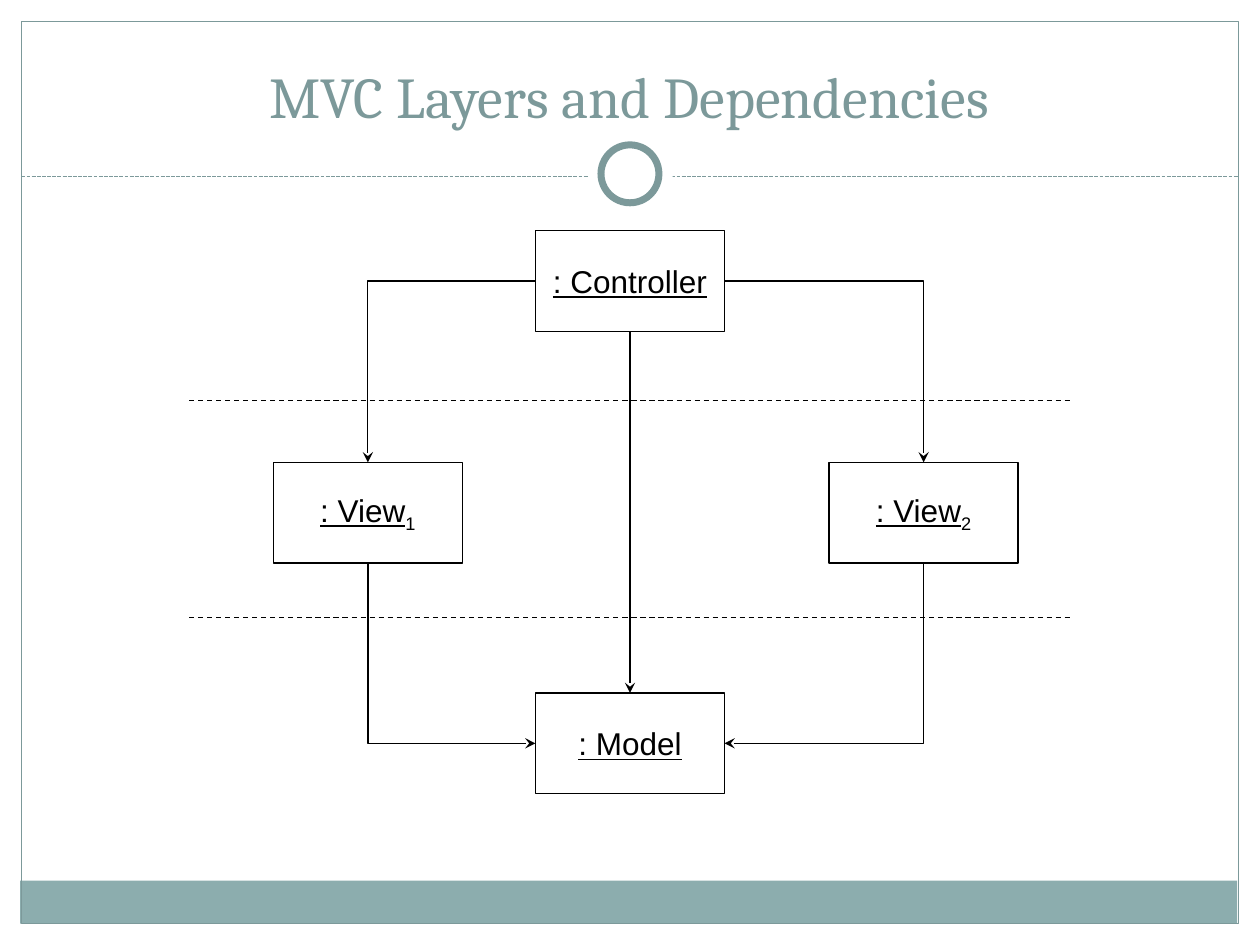
from pptx import Presentation
from pptx.dml.color import RGBColor
from pptx.enum.dml import MSO_LINE
from pptx.enum.shapes import MSO_CONNECTOR, MSO_SHAPE
from pptx.enum.text import MSO_ANCHOR, PP_ALIGN
from pptx.oxml.ns import qn
from pptx.util import Inches, Pt
from lxml import etree

RECT, OVAL = MSO_SHAPE.RECTANGLE, MSO_SHAPE.OVAL
LINE, ELBOW = MSO_CONNECTOR.STRAIGHT, MSO_CONNECTOR.ELBOW
DASH, DOTS = MSO_LINE.DASH, MSO_LINE.SQUARE_DOT
MIDDLE, BOTTOM = MSO_ANCHOR.MIDDLE, MSO_ANCHOR.BOTTOM
CENTER = PP_ALIGN.CENTER
WHITE, BLACK, TEAL, BAND = "FFFFFF", "000000", "7C999A", "8CADAE"
BOX_W, BOX_H = 1.5, 0.8
MID, LEFT, RIGHT = 5, 2.92, 7.33
TOP_Y, VIEW_Y, MODEL_Y = 2.23, 4.07, 5.9


def color(text):
    return RGBColor.from_string(text)


def add_shape(slide, kind, x, y, w, h, fill=None, line=None, width=0.75):
    shape = slide.shapes.add_shape(kind, Inches(x), Inches(y), Inches(w), Inches(h))
    shape.shadow.inherit = False
    if fill:
        shape.fill.solid()
        shape.fill.fore_color.rgb = color(fill)
    else:
        shape.fill.background()
    if line:
        shape.line.color.rgb = color(line)
        shape.line.width = Pt(width)
    else:
        shape.line.fill.background()
    return shape


def style_run(run, size, font, tint, under=None):
    run.font.size = Pt(size)
    run.font.name = font
    run.font.color.rgb = color(tint)
    run.font.underline = under


def add_title(slide, text):
    box = slide.shapes.add_textbox(Inches(0.33), Inches(0.25), Inches(9.33), Inches(0.83))
    frame = box.text_frame
    frame.word_wrap = True
    frame.vertical_anchor = BOTTOM
    frame.text = text
    para = frame.paragraphs[0]
    para.alignment = CENTER
    style_run(para.runs[0], 33, "Cambria", TEAL)


def add_node(slide, x, y, text, index=None):
    shape = add_shape(slide, RECT, x - BOX_W / 2, y - BOX_H / 2, BOX_W, BOX_H, line=BLACK)
    frame = shape.text_frame
    frame.word_wrap = False
    frame.vertical_anchor = MIDDLE
    frame.text = text
    para = frame.paragraphs[0]
    para.alignment = CENTER
    style_run(para.runs[0], 18, "Arial", BLACK, True)
    if index:
        sub = para.add_run()
        sub.text = index
        style_run(sub, 18, "Arial", BLACK, False)
        sub.font._element.set("baseline", "-25000")


def add_line(slide, start, end, tint=BLACK, dash=None, arrow=False, kind=LINE):
    line = slide.shapes.add_connector(kind, *[Inches(v) for v in (*start, *end)])
    line.line.color.rgb = color(tint)
    line.line.width = Pt(0.75)
    if dash:
        line.line.dash_style = dash
    props = line._element.spPr
    if arrow:
        etree.SubElement(props.find(qn("a:ln")), qn("a:tailEnd"), type="stealth")
    etree.SubElement(props, qn("a:effectLst"))
    return line


def add_elbow(slide, start, end, down=False):
    turn = 0
    if down:
        (x1, y1), (x2, y2) = start, end
        side = 1 if x2 > x1 else -1
        mid_x, mid_y = (x1 + x2) / 2, (y1 + y2) / 2
        half_w, half_h = side * (y2 - y1) / 2, abs(x2 - x1) / 2
        start = mid_x + half_w, mid_y - half_h
        end = mid_x - half_w, mid_y + half_h
        turn = 270 if side > 0 else 90
    props = add_line(slide, start, end, arrow=True, kind=ELBOW)._element.spPr
    props.find(qn("a:prstGeom")).set("prst", "bentConnector2")
    if turn:
        props.find(qn("a:xfrm")).set("rot", str(turn * 60000))


def add_frame(slide):
    add_shape(slide, RECT, 0.16, 6.99, 9.66, 0.34, BAND)
    add_shape(slide, RECT, 0.17, 0.17, 9.66, 7.16, line=TEAL)
    add_line(slide, (0.17, 1.4), (9.83, 1.4), TEAL, DOTS)
    add_shape(slide, OVAL, 4.67, 1.05, 0.67, 0.67, WHITE)
    add_shape(slide, OVAL, 4.77, 1.15, 0.46, 0.46, WHITE, TEAL, 4)


def add_diagram(slide):
    for y in (3.18, 4.9):
        add_line(slide, (1.5, y), (8.5, y), dash=DASH)
    for x, side in ((LEFT, -1), (RIGHT, 1)):
        edge = MID + side * BOX_W / 2
        add_elbow(slide, (edge, TOP_Y), (x, VIEW_Y - BOX_H / 2))
        add_elbow(slide, (x, VIEW_Y + BOX_H / 2), (edge, MODEL_Y), down=True)
    add_line(slide, (MID, TOP_Y + BOX_H / 2), (MID, MODEL_Y - BOX_H / 2), arrow=True)
    add_node(slide, LEFT, VIEW_Y, ": View", "1")
    add_node(slide, MID, TOP_Y, ": Controller")
    add_node(slide, RIGHT, VIEW_Y, ": View", "2")
    add_node(slide, MID, MODEL_Y, ": Model")


def main():
    deck = Presentation()
    deck.slide_width, deck.slide_height = Inches(10), Inches(7.5)
    slide = deck.slides.add_slide(deck.slide_layouts[6])
    add_frame(slide)
    add_title(slide, "MVC Layers and Dependencies")
    add_diagram(slide)
    deck.save("out.pptx")


if __name__ == "__main__":
    main()
